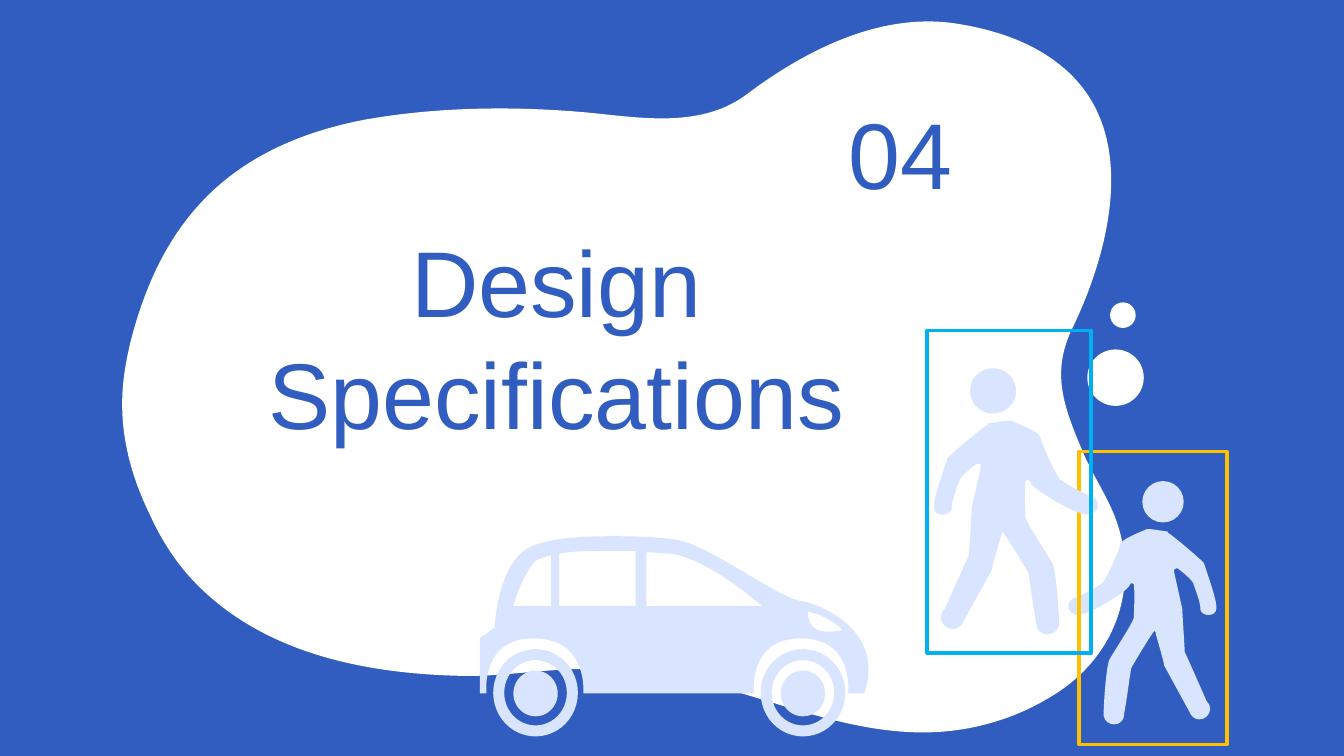
from pptx import Presentation
from pptx.dml.color import RGBColor
from pptx.enum import shapes, text
from pptx.oxml.ns import qn
from pptx.util import Inches, Pt

BLUE = RGBColor(0x30, 0x5D, 0xBF)
WHITE = RGBColor(0xFF, 0xFF, 0xFF)
PALE = RGBColor(0xD9, 0xE5, 0xFF)
AMBER = RGBColor(0xFF, 0xC0, 0x00)
CYAN = RGBColor(0x00, 0xB0, 0xF0)

BLOB_SIZE = (1000, 562)
BLOB = """M793,52 C775,36 750,24 714,18 657,8 600,37 556,70 519,98 469,86 428,83
377,79 323,80 272,89 167,109 119,168 97,255 91,281 82,323 112,384
123,408 137,427 155,443 201,484 267,502 348,503 373,503 399,499 425,498
451,497 478,499 505,504 566,516 624,545 687,545 720,545 753,536 781,519
817,498 839,462 837,420 835,382 818,365 806,337 791,302 782,277 798,244
819,201 853,105 793,52 Z"""

CAR_SIZE = (302, 149)
CAR = """M53,14 L53,52 25,52 C25,52 30,32 40,20 42,17 47,16 53,14 Z
M95,11 C102,11 109,11 116,11 L116,52 59,52 59,13 C69,11 82,11 95,11 Z
M124,12 C131,12 137,13 142,13 171,17 210,52 210,52 L124,52 Z
M244,56 C244,56 260,59 270,70 270,70 265,71 259,71 252,71 244,69 244,56 Z
M100,0 C78,0 55,1 40,7 13,17 11,68 11,68 L0,76 0,117 5,117
C5,117 0,76 40,76 81,76 77,117 77,117 L204,117
C204,117 199,76 239,76 279,76 274,117 274,117 L286,117
C302,70 253,50 238,48 223,46 170,7 148,3 138,1 119,0 100,0 Z"""

WALKER_SIZE = (122, 198)
WALKER = """M56,39 L57,39 C59,40 78,47 79,51 80,56 90,79 94,83
98,86 109,92 116,95 119,95 122,98 122,102 122,106 118,109 114,109
113,109 111,109 110,108 104,107 92,100 89,98 86,96 73,89 71,84
71,83 70,83 70,83 69,83 68,84 68,84 67,91 68,109 68,111
68,114 82,135 88,145 91,151 93,183 93,191 92,195 89,198 84,198
79,198 76,194 76,190 L76,189 C74,180 71,155 70,152
69,150 57,130 52,123 52,123 52,122 51,122 50,122 50,123 50,124
48,131 43,148 43,150 42,152 27,179 22,188 21,191 18,194 14,194
9,194 5,190 5,185 5,183 6,181 8,179 12,170 25,141 26,139
26,137 28,107 28,104 L35,73 C35,72 34,71 33,71 33,71 32,71 32,71
26,75 19,82 19,83 19,84 13,98 13,104 L13,105 C12,108 9,109 6,109
3,109 0,107 0,104 L0,101 C1,92 10,68 10,67 10,66 36,44 40,42
L40,41 C42,41 53,39 56,39 Z"""


def paint(shape, colour):
    """Give a shape a flat fill without line or shadow."""
    shape.shadow.inherit = False
    shape.fill.solid()
    shape.fill.fore_color.rgb = colour
    shape.line.fill.background()


def add_outline(page, box, size, route, colour, mirrored=False):
    """Fit a curved outline, drawn on a grid of the given size, into a box."""
    left, top, width, height = box
    builder, kinds, kind = None, [], ""
    for token in route.split():
        if token == "Z":
            builder.add_line_segments([], close=True)
            continue
        if token[0] in "MLC":
            kind, token = token[0], token[1:]
        across, down = (int(part) / whole for part, whole in zip(token.split(","), size))
        across = 1 - across if mirrored else across
        point = (Inches(left + across * width), Inches(top + down * height))
        kinds.append(kind)
        if builder is None:
            builder = page.shapes.build_freeform(*point)
        elif kind == "M":
            builder.move_to(*point)
        else:
            builder.add_line_segments([point], close=False)
    shape = builder.convert_to_shape()
    path = shape.element.find(".//" + qn("a:path"))
    points = [item for item in path if item.tag != qn("a:close")]
    curves = [item for item, kind in zip(points, kinds) if kind == "C"]
    for first, second, last in zip(curves[::3], curves[1::3], curves[2::3]):
        first.tag = qn("a:cubicBezTo")
        for extra in (second, last):
            first.append(extra[0])
            path.remove(extra)
    paint(shape, colour)


def add_preset(page, kind, box, colour):
    """Add a filled preset shape in a box."""
    shape = page.shapes.add_shape(kind, *map(Inches, box))
    paint(shape, colour)
    return shape


def add_backdrop(page, box):
    """Draw the white blob and its two bubbles."""
    left, top = box[:2]
    add_outline(page, box, BLOB_SIZE, BLOB, WHITE)
    for across, down, size in ((8.09, 2.6, 0.42), (8.26, 2.25, 0.19)):
        bubble = (left + across, top + down, size, size)
        add_preset(page, shapes.MSO_SHAPE.OVAL, bubble, WHITE)


def add_heading(page, box, words):
    """Write a large centred heading."""
    frame = page.shapes.add_textbox(*map(Inches, box)).text_frame
    frame.word_wrap = True
    frame.vertical_anchor = text.MSO_ANCHOR.MIDDLE
    frame.margin_left = frame.margin_right = Inches(0.1)
    frame.margin_top = frame.margin_bottom = Inches(0.1)
    para = frame.paragraphs[0]
    para.text = words
    para.alignment = text.PP_ALIGN.CENTER
    para.font.name = "Arial"
    para.font.size = Pt(50)
    para.font.color.rgb = BLUE


def add_car(page, box):
    """Draw the car body with its two wheels."""
    left, top = box[:2]
    for across in (0.1, 2.09):
        hub = (left + across + 0.15, top + 1, 0.33, 0.34)
        add_preset(page, shapes.MSO_SHAPE.OVAL, hub, PALE)
        tyre = (left + across, top + 0.84, 0.63, 0.65)
        ring = add_preset(page, shapes.MSO_SHAPE.DONUT, tyre, PALE)
        ring.adjustments[0] = 0.13
    add_outline(page, box, CAR_SIZE, CAR, PALE)


def add_walker(page, box, frame_box, colour, mirrored=False):
    """Draw a walking figure and its detection frame."""
    left, top, width, height = box
    head_width = 0.28 * width
    indent = 0.22 * width
    head_left = left + (width - indent - head_width if mirrored else indent)
    head = (head_left, top, head_width, 0.17 * height)
    add_preset(page, shapes.MSO_SHAPE.OVAL, head, PALE)
    add_outline(page, box, WALKER_SIZE, WALKER, PALE, mirrored)
    frame = page.shapes.add_shape(shapes.MSO_SHAPE.RECTANGLE, *map(Inches, frame_box))
    frame.shadow.inherit = False
    frame.fill.background()
    frame.line.color.rgb = colour
    frame.line.width = Pt(2)


def main():
    """Build the section slide."""
    deck = Presentation()
    deck.slide_width = Inches(10)
    deck.slide_height = deck.slide_width * 9 // 16
    page = deck.slides.add_slide(deck.slide_layouts[6])
    page.background.fill.solid()
    page.background.fill.fore_color.rgb = BLUE
    add_backdrop(page, (0, 0, 10, 5.62))
    add_heading(page, (0.9, 2.04, 6.48, 0.92), "Design Specifications")
    add_heading(page, (6.06, 0.67, 1.28, 0.92), "04")
    add_car(page, (3.57, 3.99, 3.02, 1.49))
    add_walker(page, (7.95, 3.58, 1.1, 1.81), (8.03, 3.36, 1.1, 2.18), AMBER, mirrored=True)
    add_walker(page, (6.95, 2.74, 1.22, 1.98), (6.9, 2.46, 1.22, 2.4), CYAN)
    deck.save("out.pptx")


if __name__ == "__main__":
    main()
